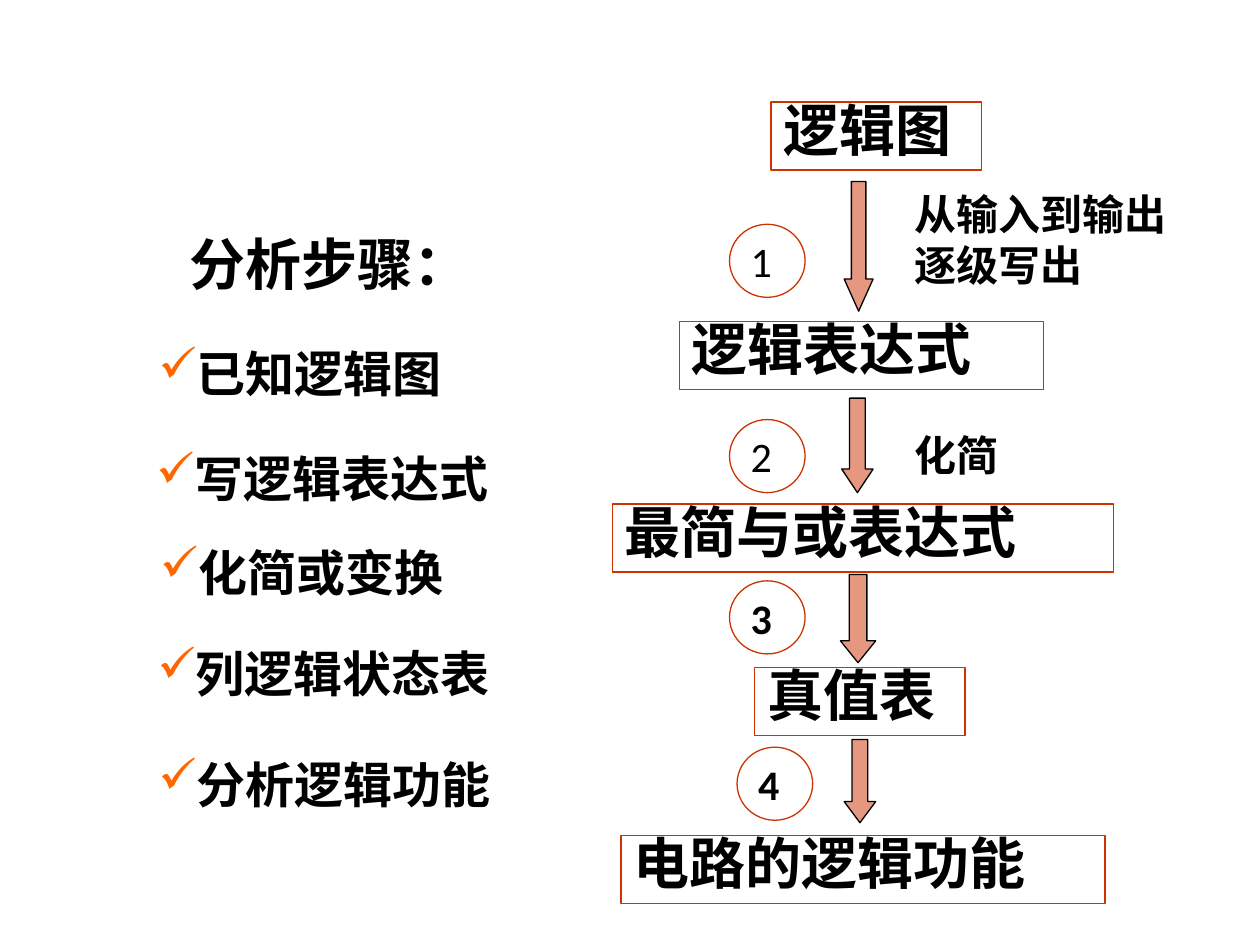
from lxml.etree import SubElement
from pptx import Presentation
from pptx.dml.color import RGBColor
from pptx.enum.shapes import MSO_SHAPE
from pptx.enum.text import MSO_ANCHOR, PP_ALIGN
from pptx.oxml.ns import qn
from pptx.util import Inches, Pt

COLORS = {"text": "000000", "edge": "CC3300", "check": "FF6600"}
SERIF, SANS = "Times New Roman", "Calibri"


def color(name):
    return RGBColor.from_string(COLORS[name])


def write(shape, text, size=32, font=SANS, bold=True, align=PP_ALIGN.LEFT,
          anchor=MSO_ANCHOR.TOP, pad=(0.1, 0.05), space=None, wrap=True):
    """Put one formatted paragraph in a shape and return it."""
    frame = shape.text_frame
    frame.word_wrap = wrap
    frame.vertical_anchor = anchor
    frame.margin_left = frame.margin_right = Inches(pad[0])
    frame.margin_top = frame.margin_bottom = Inches(pad[1])
    para = frame.paragraphs[0]
    para.alignment = align
    if space:
        para.line_spacing = space
    run = para.add_run()
    run.text = text
    run.font.size = Pt(size)
    run.font.name = font
    run.font.bold = bold
    run.font.color.rgb = color("text")
    return para


def add_text(slide, text, left, top, width, height, **style):
    box = slide.shapes.add_textbox(*map(Inches, (left, top, width, height)))
    return write(box, text, **style)


def add_check(slide, text, left, top, width, space=None):
    """Add a line with a check mark as its bullet."""
    para = add_text(slide, text, left, top, width, 0.6, size=28, space=space)
    props = para._p.get_or_add_pPr()
    tint = SubElement(props, qn("a:buClr"))
    SubElement(tint, qn("a:srgbClr"), val=COLORS["check"])
    SubElement(props, qn("a:buChar"), char="✓")


def add_form(slide, kind, left, top, width, height, line="edge"):
    form = slide.shapes.add_shape(
        kind, *map(Inches, (left, top, width, height)))
    form.shadow.inherit = False
    form.fill.background()
    form.line.color.rgb = color(line)
    form.line.width = Pt(0.75)
    return form


def add_stage(slide, text, left, top, width, font=SERIF):
    box = add_form(slide, MSO_SHAPE.RECTANGLE, left, top, width, 0.54)
    write(box, text, font=font, space=0.8)


def add_arrow(slide, left, top, width, height, head):
    arrow = add_form(slide, MSO_SHAPE.DOWN_ARROW, left, top, width, height,
                     line="text")
    arrow.adjustments[1] = head
    arrow.fill.solid()
    arrow.fill.fore_color.rgb = color("edge")
    # Half transparent fill
    tint = arrow._element.spPr.find(qn("a:solidFill"))[0]
    SubElement(tint, qn("a:alpha"), val="50000")


def add_number(slide, number, left, top):
    ring = add_form(slide, MSO_SHAPE.OVAL, left, top, 0.6, 0.58)
    write(ring, str(number), size=24, bold=number > 2,
          anchor=MSO_ANCHOR.MIDDLE, pad=(0.08, 0))


def main():
    deck = Presentation()
    deck.slide_width, deck.slide_height = Inches(10), Inches(7.5)
    slide = deck.slides.add_slide(deck.slide_layouts[6])

    # Heading and list of steps
    add_text(slide, "分析步骤：", 0.67, 1.67, 3.89, 0.83,
             align=PP_ALIGN.CENTER, anchor=MSO_ANCHOR.MIDDLE)
    for step in (
        ("已知逻辑图", 1.16, 2.63, 2.83, 1.1),
        ("写逻辑表达式", 1.14, 3.51, 2.87),
        ("化简或变换", 1.12 + 0.05, 4.26, 2.58),
        ("列逻辑状态表", 1.15, 5.06, 2.87),
        ("分析逻辑功能", 1.16, 5.89, 2.87, 1.1),
    ):
        add_check(slide, *step)

    # Stages of the flow
    for stage in (
        ("逻辑图", 6.12, 0.81, 1.67),
        ("逻辑表达式", 5.39, 2.55, 2.89),
        ("最简与或表达式", 4.86, 4, 3.98),
        ("真值表", 5.99, 5.3, 1.67, SANS),
        ("电路的逻辑功能", 4.93, 6.63, 3.84),
    ):
        add_stage(slide, *stage)

    # Block arrows between the stages
    for arrow in (
        (6.7, 1.44, 0.23, 1.03, 1.11),
        (6.68, 3.16, 0.25, 0.75, 0.75),
        (6.67, 4.56, 0.28, 0.7, 0.62),
        (6.7, 5.87, 0.25, 0.66, 0.67),
    ):
        add_arrow(slide, *arrow)

    # Numbers of the transitions
    spots = ((5.79, 1.78), (5.79, 3.33), (5.79, 4.61), (5.85, 5.93))
    for number, (left, top) in enumerate(spots, 1):
        add_number(slide, number, left, top)

    # Notes beside the arrows
    for text, top, width, height in (
        ("从输入到输出逐级写出", 1.45, 2.07, 0.91),
        ("化简", 3.36, 1.09, 0.5),
    ):
        add_text(slide, text, 7.26, top, width, height,
                 size=24, font=SERIF, pad=(0, 0.05))

    deck.save("out.pptx")


if __name__ == "__main__":
    main()
